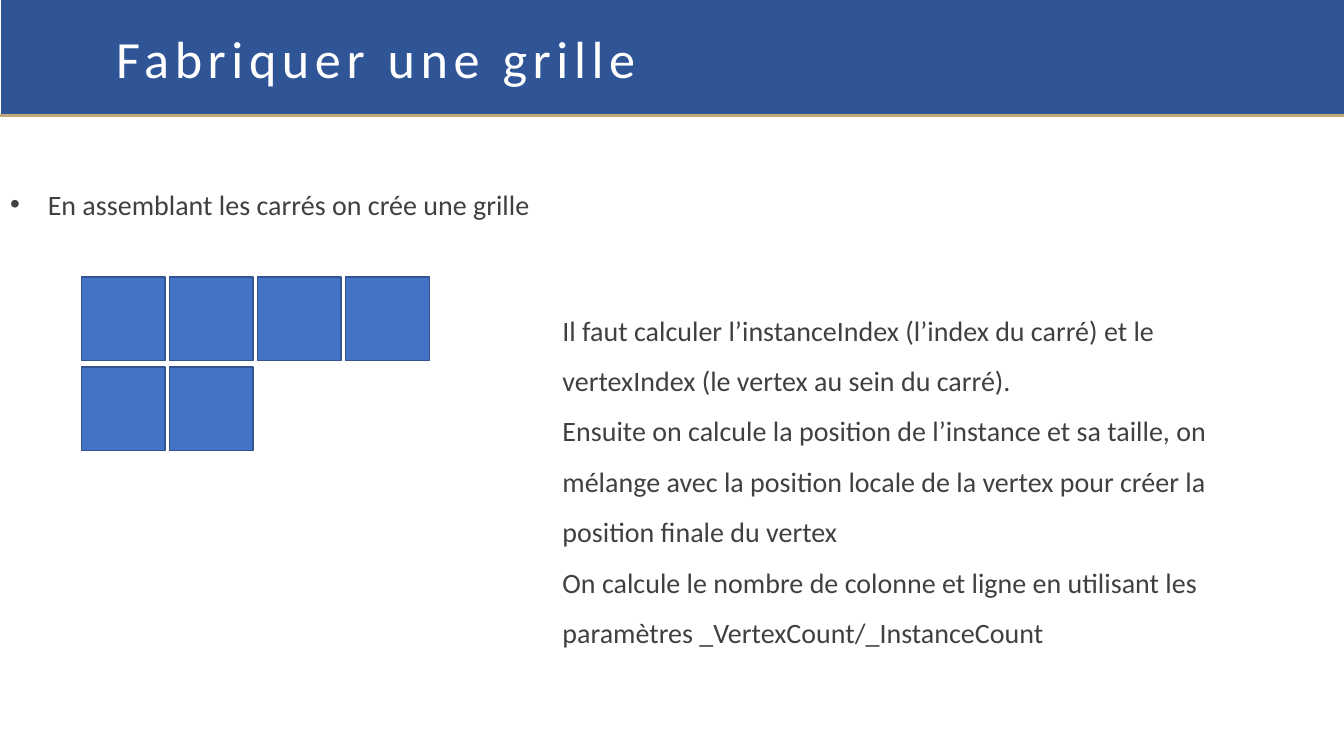
import pptx
import pptx.util
import pptx.dml.color
import pptx.enum.text
import pptx.enum.shapes
import lxml.etree

Cm = pptx.util.Cm
Pt = pptx.util.Pt
RGBColor = pptx.dml.color.RGBColor
Anchor = pptx.enum.text.MSO_ANCHOR
RECT = pptx.enum.shapes.MSO_SHAPE.RECTANGLE
NS = "{http://schemas.openxmlformats.org/drawingml/2006/main}"

WHITE = RGBColor(0xFF, 0xFF, 0xFF)
NAVY = RGBColor(0x2F, 0x55, 0x97)
GOLD = RGBColor(0xBF, 0xA9, 0x7A)
BLUE = RGBColor(0x44, 0x72, 0xC4)
EDGE = RGBColor(0x32, 0x54, 0x91)
GREY = RGBColor(0x40, 0x40, 0x40)


def place(shape, left, top, width, height):
    shape.left, shape.top = Cm(left), Cm(top)
    shape.width, shape.height = Cm(width), Cm(height)


def write(body, lines, bullet):
    frame = body.text_frame
    frame.text = "\n".join(lines)
    frame.word_wrap = True
    frame.auto_size = pptx.enum.text.MSO_AUTO_SIZE.NONE
    frame.vertical_anchor = Anchor.TOP
    for para in frame.paragraphs:
        para.line_spacing = 1.5
        para.space_before = para.space_after = Pt(0)
        props = para._p.get_or_add_pPr()
        indent = Cm(0.95) if bullet else 0
        props.set("marL", str(indent))
        props.set("indent", str(-indent))
        if bullet:
            lxml.etree.SubElement(props, NS + "buFont", typeface="Arial")
            lxml.etree.SubElement(props, NS + "buChar", char="•")
        else:
            lxml.etree.SubElement(props, NS + "buNone")
        para.font.name = "Calibri"
        para.font.size = Pt(20)
        para.font.color.rgb = GREY


deck = pptx.Presentation()
deck.slide_width, deck.slide_height = Cm(33.87), Cm(19.05)
slide = deck.slides.add_slide(deck.slide_layouts[3])
shapes = slide.shapes
title, intro, steps = slide.placeholders

band = shapes.add_shape(RECT, Cm(0.03), 0, Cm(33.84), Cm(2.87))
band.shadow.inherit = False
band.fill.solid()
band.fill.fore_color.rgb = NAVY
band.line.fill.background()
title._element.addprevious(band._element)

place(title, 2.67, 0, 31.2, 2.9)
title.text_frame.text = "Fabriquer une grille"
title.text_frame.auto_size = pptx.enum.text.MSO_AUTO_SIZE.NONE
title.text_frame.vertical_anchor = Anchor.MIDDLE
head = title.text_frame.paragraphs[0]
head.alignment = pptx.enum.text.PP_ALIGN.LEFT
head.font.name = "Calibri"
head.font.size = Pt(37.3)
head.font.color.rgb = WHITE
head.runs[0]._r.get_or_add_rPr().set("spc", "400")

rule = shapes.add_connector(
    pptx.enum.shapes.MSO_CONNECTOR.STRAIGHT, 0, Cm(2.9), Cm(33.87), Cm(2.9))
rule.line.color.rgb = GOLD
rule.line.width = Pt(2.25)
lxml.etree.SubElement(rule._element.spPr, NS + "effectLst")

place(intro, 0, 4.17, 33.2, 1.4)
write(intro, ["En assemblant les carrés on crée une grille"], True)

for index in range(6):
    row, col = divmod(index, 4)
    tile = shapes.add_shape(
        RECT, Cm(2.05 + 2.22 * col), Cm(6.98 + 2.27 * row), Cm(2.11), Cm(2.11))
    tile.shadow.inherit = False
    tile.fill.solid()
    tile.fill.fore_color.rgb = BLUE
    tile.line.color.rgb = EDGE
    tile.line.width = Pt(1)

place(steps, 13.92, 7.34, 18.29, 9.09)
write(steps, [
    "Il faut calculer l’instanceIndex (l’index du carré) et le vertexIndex "
    "(le vertex au sein du carré).",
    "Ensuite on calcule la position de l’instance et sa taille, on mélange avec "
    "la position locale de la vertex pour créer la position finale du vertex",
    "On calcule le nombre de colonne et ligne en utilisant les paramètres "
    "_VertexCount/_InstanceCount",
], False)

deck.save("out.pptx")
